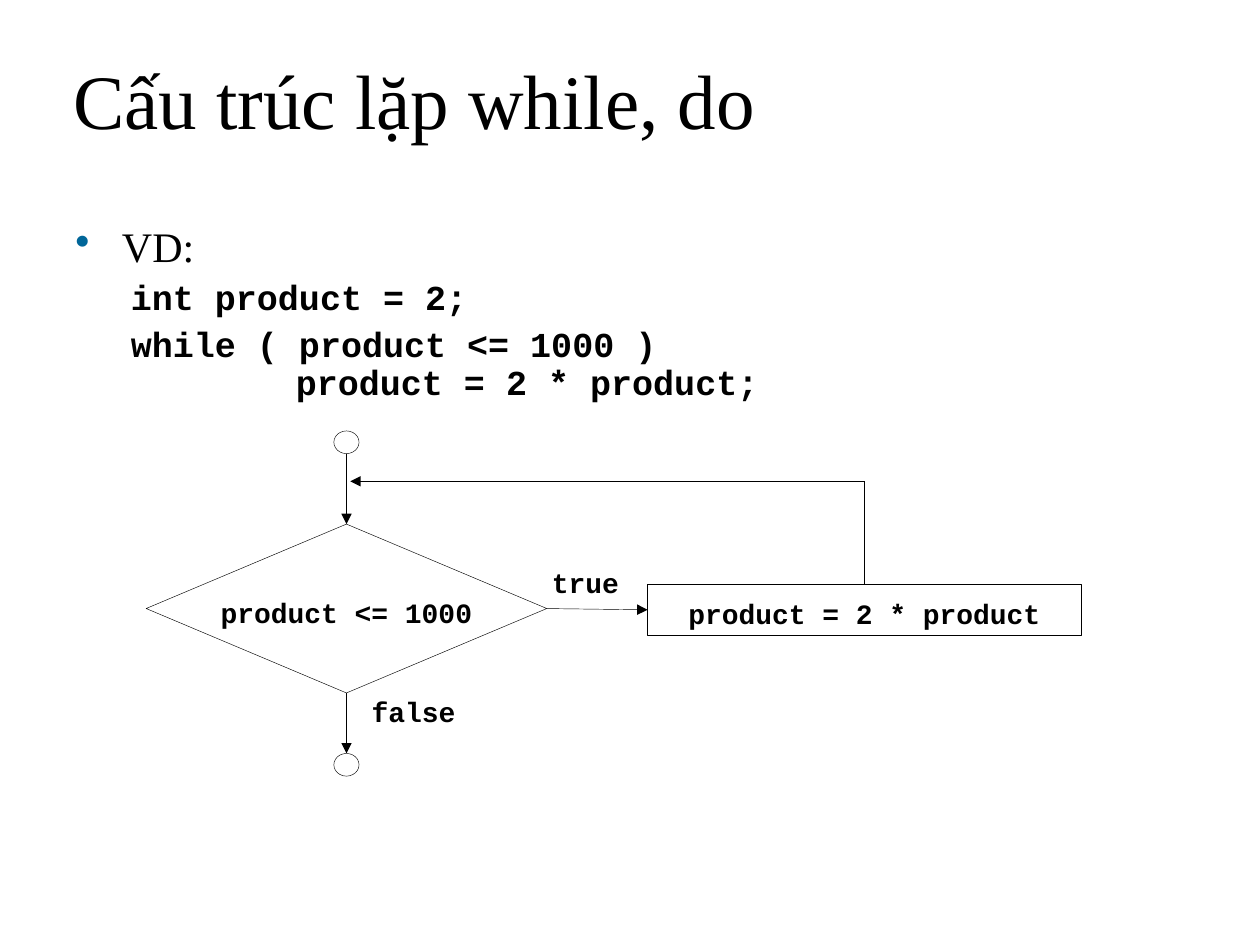
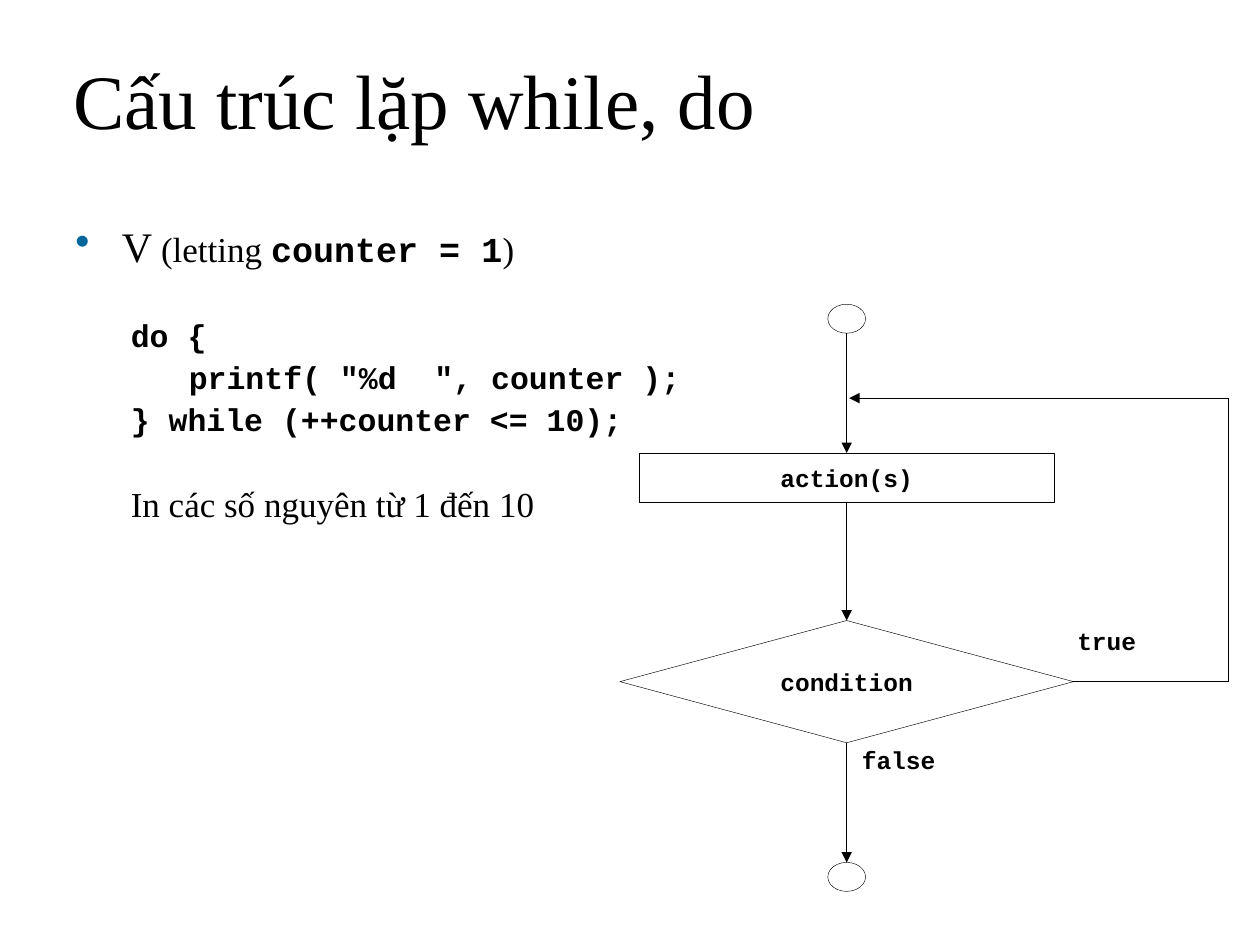
import pptx
import pptx.util
import pptx.dml.color
import pptx.enum.shapes
import pptx.enum.text
import pptx.oxml
import pptx.oxml.ns

# Shared style: lengths are cells of a grid of 100 columns by 75 rows
COLS, ROWS = 100, 75
CELL = pptx.util.Inches(0.1)
INK = {"text": "000000", "dot": "006699", "fill": "FFFFFF"}
SERIF, MONO = "Times New Roman", "Courier New"
TITLE = "Cấu trúc lặp while, do"
TITLE_BOX = (4.8, 1.1, 90.2, 14.4)
BODY_BOX = (5, 17.5, 90, 48.7)
TOP, LEFT, BOTTOM, RIGHT = range(4)
KINDS = {
    "circle": pptx.enum.shapes.MSO_SHAPE.OVAL,
    "test": pptx.enum.shapes.MSO_SHAPE.DIAMOND,
    "box": pptx.enum.shapes.MSO_SHAPE.RECTANGLE,
}

# Lines: indent, space before, bullet, runs of (text, size, font)
# Nodes: kind, centre column and row, width, height, text
# Links: from, to, arrow; an end is (node, side) or a grid point
SLIDES = [
    {
        "lines": [
            (3.7, 6, True, [("VD:", 24, SERIF)]),
            (4.4, 5, False, [("int product = 2;", 20, MONO)]),
            (4.4, 5, False, [("while ( product <= 1000 )", 20, MONO)]),
            (17.5, 0, False, [("product = 2 * product;", 20, MONO)]),
        ],
        "size": 16,
        "drop": 0.6,
        "nodes": {
            "start": ("circle", 27.5, 35.1, 2, 1.8, ""),
            "check": ("test", 27.5, 48.3, 31.8, 13.4, "product <= 1000"),
            "step": ("box", 68.6, 48.4, 34.4, 4, "product = 2 * product"),
            "end": ("circle", 27.5, 60.7, 2, 1.8, ""),
        },
        "links": [
            (("start", BOTTOM), ("check", TOP), True),
            (("check", BOTTOM), ("end", TOP), True),
            (("check", RIGHT), ("step", LEFT), True),
            (("step", TOP), (68.6, 38.2), False),
            ((68.6, 38.2), (27.8, 38.2), True),
        ],
        "labels": [("true", 43.8, 44.9), ("false", 29.5, 55.1)],
    },
    {
        "lines": [
            (3.7, 5, True, [("V", 24, SERIF), (" (letting ", 20, SERIF),
                            ("counter = 1", 20, MONO), (")", 20, SERIF)]),
            (4.4, 27.5, False, [("do {", 18, MONO)]),
            (9, 4.5, False, [('printf( "%d  ", counter );', 18, MONO)]),
            (4.4, 4.5, False, [("} while (++counter <= 10);", 18, MONO)]),
            (4.4, 28, False, [("In các số nguyên từ 1 đến 10", 20, SERIF)]),
        ],
        "size": 14,
        "drop": 0,
        "nodes": {
            "start": ("circle", 67.2, 25.3, 3, 2.3, ""),
            "step": ("box", 67.2, 37.9, 33, 3.9, "action(s)"),
            "check": ("test", 67.2, 54.1, 36, 9.7, "condition"),
            "end": ("circle", 67.2, 69.6, 3, 2.3, ""),
        },
        "links": [
            (("start", BOTTOM), ("step", TOP), True),
            (("step", BOTTOM), ("check", TOP), True),
            (("check", BOTTOM), ("end", TOP), True),
            (("check", RIGHT), (97.5, 54.1), False),
            ((97.5, 54.1), (97.5, 31.6), False),
            ((97.5, 31.6), (67.4, 31.6), True),
        ],
        "labels": [("true", 85.5, 49.7), ("false", 68.4, 59.1)],
    },
]


def grid(*cells):
    return [round(cell * CELL) for cell in cells]


def color(name):
    return pptx.dml.color.RGBColor.from_string(INK[name])


def style(run, size, face):
    run.font.size = pptx.util.Pt(size)
    run.font.name = face
    run.font.bold = face == MONO
    run.font.color.rgb = color("text")


def add_xml(parent, tag, **attrs):
    node = pptx.oxml.parse_xml(f"<a:{tag} {pptx.oxml.ns.nsdecls('a')}/>")
    for key, value in attrs.items():
        node.set(key, value)
    parent.append(node)
    return node


def bare(frame, drop=0):
    """Frame with no side margins and no wrapping."""
    frame.margin_left = frame.margin_right = frame.margin_bottom = 0
    frame.margin_top = grid(drop)[0]
    frame.word_wrap = False


def add_title(slide):
    title = slide.shapes.title
    title.left, title.top, title.width, title.height = grid(*TITLE_BOX)
    frame = title.text_frame
    frame.text = TITLE
    frame.auto_size = pptx.enum.text.MSO_AUTO_SIZE.NONE
    frame.vertical_anchor = pptx.enum.text.MSO_ANCHOR.MIDDLE
    para = frame.paragraphs[0]
    para.alignment = pptx.enum.text.PP_ALIGN.LEFT
    para.line_spacing = 0.9
    style(para.runs[0], 44, SERIF)


def add_body(slide, lines):
    frame = slide.shapes.add_textbox(*grid(*BODY_BOX)).text_frame
    frame.word_wrap = True
    for i, (indent, space, dot, runs) in enumerate(lines):
        para = frame.add_paragraph() if i else frame.paragraphs[0]
        para.line_spacing = 0.9
        para.space_before = pptx.util.Pt(space)
        for text, size, face in runs:
            run = para.add_run()
            run.text = text
            style(run, size, face)
        props = para._p.get_or_add_pPr()
        left = grid(indent)[0]
        props.set("marL", str(left))
        if dot:
            props.set("indent", str(-left))
            add_xml(add_xml(props, "buClr"), "srgbClr", val=INK["dot"])
            add_xml(props, "buChar", char="•")


def add_node(slide, node, size, drop):
    kind, x, y, wide, high, text = node
    shape = slide.shapes.add_shape(
        KINDS[kind], *grid(x - wide / 2, y - high / 2, wide, high))
    shape.shadow.inherit = False
    shape.fill.solid()
    shape.fill.fore_color.rgb = color("fill")
    shape.line.color.rgb = color("text")
    shape.line.width = pptx.util.Pt(0.25)
    if text:
        frame = shape.text_frame
        bare(frame, drop)
        frame.text = text
        frame.vertical_anchor = pptx.enum.text.MSO_ANCHOR.MIDDLE
        frame.paragraphs[0].alignment = pptx.enum.text.PP_ALIGN.CENTER
        style(frame.paragraphs[0].runs[0], size, MONO)
    return shape


def point(end, nodes):
    if end[0] not in nodes:
        return end
    _, x, y, wide, high, _ = nodes[end[0]]
    dx, dy = ((0, -1), (-1, 0), (0, 1), (1, 0))[end[1]]
    return x + dx * wide / 2, y + dy * high / 2


def add_link(slide, link, nodes, shapes):
    start, stop, arrow = link
    line = slide.shapes.add_connector(
        pptx.enum.shapes.MSO_CONNECTOR.STRAIGHT,
        *grid(*point(start, nodes), *point(stop, nodes)))
    for end, join in ((start, line.begin_connect), (stop, line.end_connect)):
        if end[0] in nodes and nodes[end[0]][0] != "circle":
            join(shapes[end[0]], end[1])
    line.line.color.rgb = color("text")
    line.line.width = pptx.util.Pt(0.25)
    if arrow:
        add_xml(line.line._get_or_add_ln(), "tailEnd", type="triangle")
    add_xml(line._element.spPr, "effectLst")


def add_label(slide, text, x, y, size):
    frame = slide.shapes.add_textbox(*grid(x, y, 8.6, 3.7)).text_frame
    bare(frame)
    frame.text = text
    style(frame.paragraphs[0].runs[0], size, MONO)


def main():
    deck = pptx.Presentation()
    deck.slide_width, deck.slide_height = grid(COLS, ROWS)
    for page in SLIDES:
        slide = deck.slides.add_slide(deck.slide_layouts[5])
        add_title(slide)
        add_body(slide, page["lines"])
        nodes, size = page["nodes"], page["size"]
        shapes = {name: add_node(slide, node, size, page["drop"])
                  for name, node in nodes.items()}
        for link in page["links"]:
            add_link(slide, link, nodes, shapes)
        for text, x, y in page["labels"]:
            add_label(slide, text, x, y, size)
    deck.save("out.pptx")


if __name__ == "__main__":
    main()
